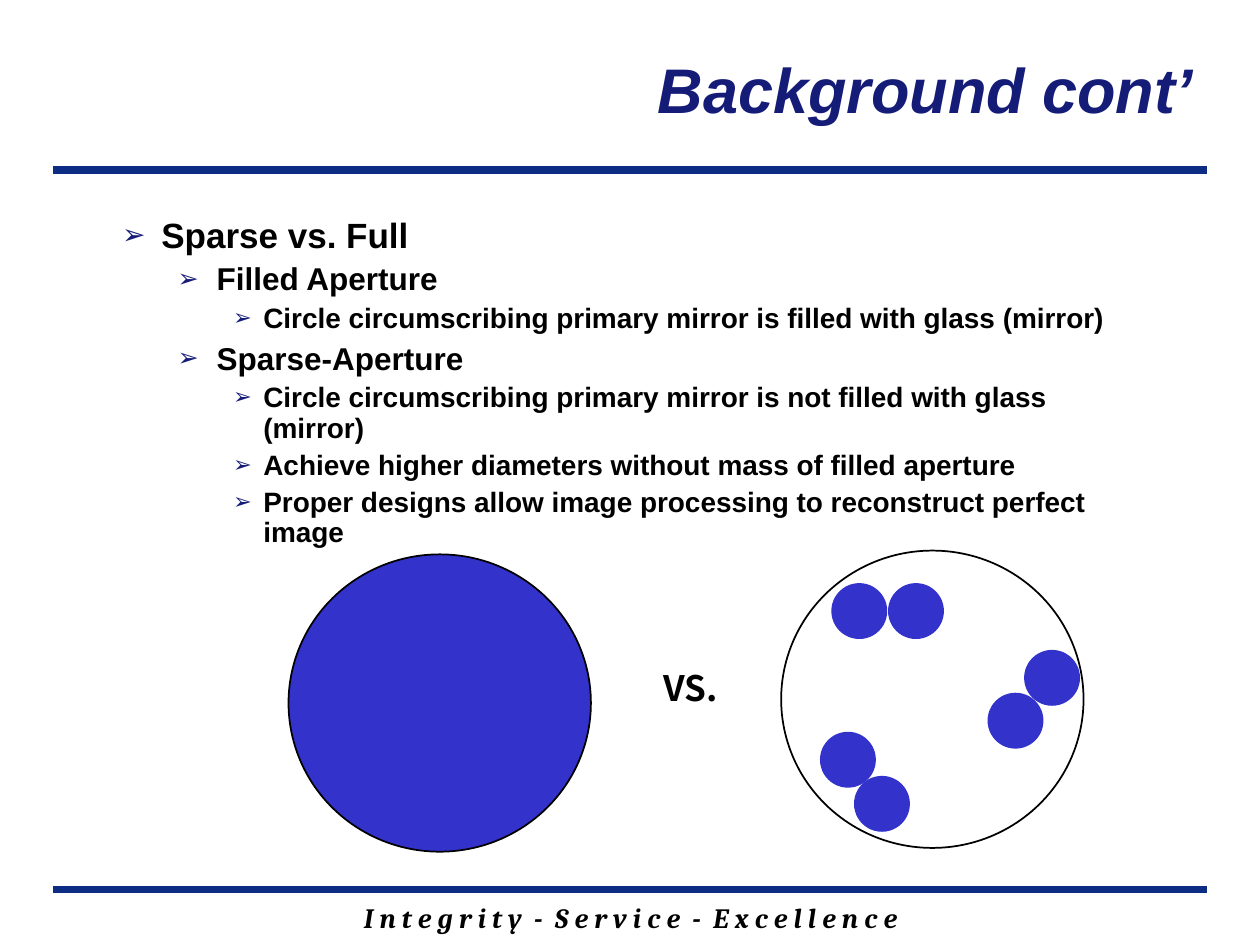
from lxml import etree
from pptx import Presentation
from pptx import util as u
from pptx.dml.color import RGBColor
from pptx.enum import shapes, text
from pptx.oxml.ns import qn

W, H = 10, 7.5
NAVY, RULE, BLUE, BLACK = "151C77", "0C2D83", "3333CC", "000000"

TITLE = "Background cont’"
FOOTER = "I n t e g r i t y  -  S e r v i c e  -  E x c e l l e n c e"
BULLETS = [
    (0, "Sparse vs. Full"),
    (1, "Filled Aperture"),
    (2, "Circle circumscribing primary mirror is filled with glass (mirror)"),
    (1, "Sparse-Aperture"),
    (2, "Circle circumscribing primary mirror is not filled with glass (mirror)"),
    (2, "Achieve higher diameters without mass of filled aperture"),
    (2, "Proper designs allow image processing to reconstruct perfect image"),
]
LEVELS = [(20, 0.31, 0.31, 5), (18, 0.75, 0.31, 4.5), (16, 1.12, 0.24, 4)]
RULES = [1.35, 7.06]
MARGIN = 0.042 * W
APERTURE = (2.4, 2.36)
FULL_CENTER, SPARSE_CENTER = (3.49, 5.58), (7.4, 5.55)
MIRROR = (0.43, 0.43)
MIRROR_CENTERS = [
    (6.73, 6.03), (7.0, 6.38),
    (8.06, 5.72), (8.35, 5.38),
    (6.82, 4.85), (7.27, 4.85),
]


def rgb(value):
    return RGBColor.from_string(value)


def place(s, x, y, w, h):
    s.left, s.top, s.width, s.height = (u.Inches(v) for v in (x, y, w, h))


def add_run(p, words, size, font, color, italic=False):
    r = p.add_run()
    r.text = words
    f = r.font
    f.size, f.name, f.bold, f.italic = u.Pt(size), font, True, italic
    f.color.rgb = rgb(color)


def frame(s, anchor=text.MSO_ANCHOR.TOP):
    tf = s.text_frame
    tf.word_wrap = True
    tf.auto_size = text.MSO_AUTO_SIZE.NONE
    tf.vertical_anchor = anchor
    return tf


def add_label(sl, box, words, size, font, italic=False):
    s = sl.shapes.add_textbox(*(u.Inches(v) for v in box))
    p = frame(s).paragraphs[0]
    p.alignment = text.PP_ALIGN.CENTER
    add_run(p, words, size, font, BLACK, italic)


def add_rule(sl, y):
    s = sl.shapes.add_connector(
        shapes.MSO_CONNECTOR.STRAIGHT,
        *(u.Inches(v) for v in (MARGIN, y, W - MARGIN, y)))
    s.line.width = u.Pt(4.5)
    s.line.color.rgb = rgb(RULE)
    etree.SubElement(s._element.spPr, qn("a:effectLst"))


def add_circle(parent, center, size, fill, line):
    (x, y), (w, h) = center, size
    s = parent.add_shape(
        shapes.MSO_SHAPE.OVAL,
        *(u.Inches(v) for v in (x - w / 2, y - h / 2, w, h)))
    s.shadow.inherit = False
    if fill:
        s.fill.solid()
        s.fill.fore_color.rgb = rgb(fill)
    else:
        s.fill.background()
    s.line.color.rgb = rgb(line)
    s.line.width = u.Pt(1)


def add_bullet(p, level, words, first):
    size, indent, hang, before = LEVELS[level]
    p.level = level
    p.line_spacing = 0.9
    p.space_before = u.Pt(0 if first else before)
    pPr = p._p.get_or_add_pPr()
    pPr.set("marL", str(u.Inches(indent)))
    pPr.set("indent", str(-u.Inches(hang)))
    color = etree.SubElement(pPr, qn("a:buClr"))
    etree.SubElement(color, qn("a:srgbClr"), val=NAVY)
    etree.SubElement(pPr, qn("a:buSzPct"), val="80000")
    etree.SubElement(pPr, qn("a:buChar"), char="➢")
    add_run(p, words, size, "Arial", BLACK)


def main():
    prs = Presentation()
    prs.slide_width, prs.slide_height = u.Inches(W), u.Inches(H)
    sl = prs.slides.add_slide(prs.slide_layouts[1])

    for y in RULES:
        add_rule(sl, y)
    add_label(sl, (1.42, 7.1, 7.17, 0.37), FOOTER, 16, "Cambria", True)

    title, body = sl.placeholders
    place(title, 1.82, 0.08, 7.75, 1.25)
    p = frame(title, text.MSO_ANCHOR.MIDDLE).paragraphs[0]
    p.alignment = text.PP_ALIGN.RIGHT
    add_run(p, TITLE, 36, "Arial", NAVY, True)

    place(body, 0.87, 1.68, 8.4, 2.92)
    tf = frame(body)
    for i, (level, words) in enumerate(BULLETS):
        p = tf.add_paragraph() if i else tf.paragraphs[0]
        add_bullet(p, level, words, i == 0)

    sparse = sl.shapes.add_group_shape().shapes
    add_circle(sparse, SPARSE_CENTER, APERTURE, None, BLACK)
    for center in MIRROR_CENTERS:
        add_circle(sparse, center, MIRROR, BLUE, BLUE)
    add_circle(sl.shapes, FULL_CENTER, APERTURE, BLUE, BLACK)
    add_label(sl, (5.14, 5.24, 0.68, 0.44), "VS.", 20, "Noto Sans CJK KR")

    prs.save("out.pptx")


if __name__ == "__main__":
    main()
